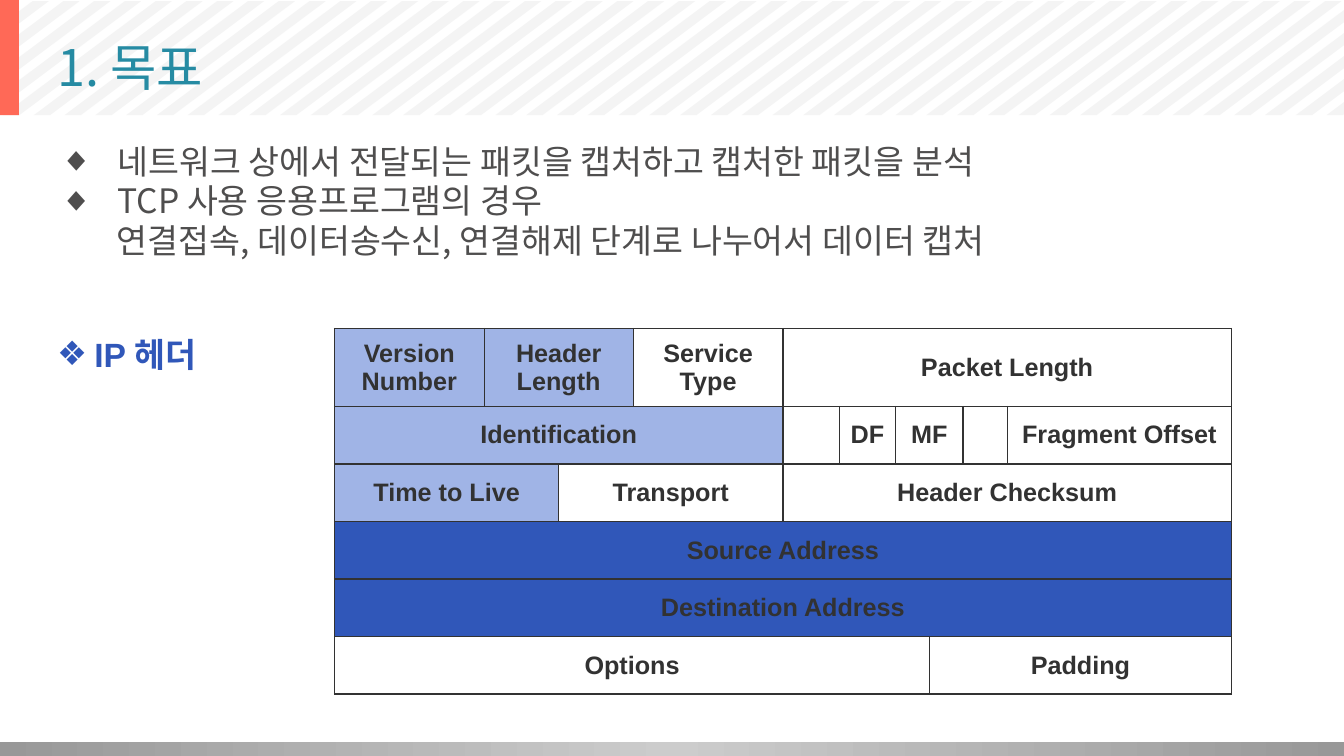
"""Build the slide on packet capture goals with the IP header layout."""
from dataclasses import dataclass

import lxml.etree
import pptx
import pptx.dml.color
import pptx.enum.dml
import pptx.enum.shapes
import pptx.enum.text
import pptx.oxml.ns
import pptx.util
from pptx.util import Cm

COLORS = {
    "stripe": "EBEBEB",
    "accent": "FF6957",
    "title": "268BA3",
    "body": "4F4E4E",
    "heading": "3057B9",
    "field": "A0B4E6",
    "address": "3057B9",
    "plain": "FFFFFF",
    "ink": "323232",
    "bar_edge": "989898",
    "bar_middle": "CCCCCC",
}
KOREAN_FONT = "Noto Sans CJK KR"
LATIN_FONT = "Arial"

SLIDE_WIDTH, SLIDE_HEIGHT = 33.87, 19.05
BAND_TOP, BAND_BOTTOM = 0.03, 2.9
STRIPE_START, STRIPE_WIDTH, STRIPE_RUN = 0.08, 0.41, 3.84
STRIPE_PITCH = 30.25 / 39
STRIPE_SLOPE = (BAND_BOTTOM - BAND_TOP) / STRIPE_RUN

COLUMN_WIDTHS = [3.77, 1.88, 1.88, 3.77, 1.42, 1.42, 0.86, 0.84, 1.12, 5.64]
ROW_HEIGHTS = [1.96] + [1.45] * 5


@dataclass
class Field:
    """A header field that covers one or more table columns."""
    text: str
    span: int = 1
    color: str = "plain"
    opacity: int = 100


@dataclass
class Line:
    """A line of text with an optional bullet and a hanging indent."""
    text: str
    bullet: str = ""
    indent: float = 0


GOALS = [
    Line("네트워크 상에서 전달되는 패킷을 캡처하고 캡처한 패킷을 분석", "◆", 1.47),
    Line("TCP 사용 응용프로그램의 경우", "◆", 1.47),
    Line("연결접속, 데이터송수신, 연결해제 단계로 나누어서 데이터 캡처", "", 1.45),
]

HEADER_ROWS = [
    [Field("Version Number", 1, "field"), Field("Header Length", 2, "field"),
     Field("Service Type"), Field("Packet Length", 6)],
    [Field("Identification", 4, "field"), Field(""), Field("DF"), Field("MF", 2),
     Field(""), Field("Fragment Offset")],
    [Field("Time to Live", 2, "field"), Field("Transport", 2), Field("Header Checksum", 6)],
    [Field("Source Address", 10, "address", 50)],
    [Field("Destination Address", 10, "address", 50)],
    [Field("Options", 7), Field("Padding", 3)],
]


def rgb(name: str) -> pptx.dml.color.RGBColor:
    """Return the named colour."""
    return pptx.dml.color.RGBColor.from_string(COLORS[name])


def add_element(parent, tag: str, **attributes: str):
    """Append a DrawingML element to its parent."""
    element = lxml.etree.SubElement(parent, pptx.oxml.ns.qn(tag))
    for name, value in attributes.items():
        element.set(name, value)
    return element


def fill_solid(fill, color: str, opacity: int = 100) -> None:
    """Fill with one colour, optionally see-through."""
    fill.solid()
    fill.fore_color.rgb = rgb(color)
    if opacity < 100:
        color_element = fill._xPr.find(".//" + pptx.oxml.ns.qn("a:srgbClr"))
        add_element(color_element, "a:alpha", val=str(opacity * 1000))


def set_font(paragraph, name: str, size: float, color: str, bold: bool = False) -> None:
    """Set the paragraph font, with the Korean face for Hangul."""
    font = paragraph.font
    font.name, font.size, font.bold = name, pptx.util.Pt(size), bold
    font.color.rgb = rgb(color)
    add_element(font._element if hasattr(font, "_element") else font._rPr,
                "a:ea", typeface=KOREAN_FONT)


def write_line(paragraph, line: Line) -> None:
    """Write a line with its indent and bullet."""
    paragraph.text = line.text
    properties = paragraph._p.get_or_add_pPr()
    properties.set("marL", str(Cm(line.indent)))
    properties.set("indent", str(-Cm(line.indent) if line.bullet else 0))
    if line.bullet:
        add_element(properties, "a:buFont", typeface=LATIN_FONT)
        add_element(properties, "a:buChar", char=line.bullet)
    else:
        add_element(properties, "a:buNone")


def place(shape, left: float, top: float, width: float, height: float) -> None:
    """Move and size a shape."""
    shape.left, shape.top, shape.width, shape.height = map(Cm, (left, top, width, height))


def add_stripes(slide) -> None:
    """Draw the slanted stripes, clipped to the slide's sides."""
    def lower(x: float) -> tuple[int, int]:
        return Cm(max(x, 0)), Cm(BAND_BOTTOM + min(x, 0) * STRIPE_SLOPE)

    def upper(x: float) -> tuple[int, int]:
        end = min(x + STRIPE_RUN, SLIDE_WIDTH)
        return Cm(end), Cm(BAND_BOTTOM - (end - x) * STRIPE_SLOPE)

    group = slide.shapes.add_group_shape()
    for number in range(-5, 44):
        left = STRIPE_START + number * STRIPE_PITCH
        right = left + STRIPE_WIDTH
        builder = group.shapes.build_freeform(*lower(left))
        builder.add_line_segments([lower(right), upper(right), upper(left)])
        stripe = builder.convert_to_shape()
        fill_solid(stripe.fill, "stripe", 52)
        stripe.line.fill.background()
        stripe.shadow.inherit = False


def add_rectangle(slide, left: float, top: float, width: float, height: float):
    """Add a rectangle without line or shadow."""
    rectangle = slide.shapes.add_shape(
        pptx.enum.shapes.MSO_SHAPE.RECTANGLE, *map(Cm, (left, top, width, height)))
    rectangle.line.fill.background()
    rectangle.shadow.inherit = False
    return rectangle


def add_footer_bar(slide) -> None:
    """Add the grey gradient bar along the bottom."""
    bar = add_rectangle(slide, 0, 18.69, SLIDE_WIDTH, 0.36)
    bar.fill.gradient()
    bar.fill.gradient_angle = 0
    stops = bar.fill._xPr.find(".//" + pptx.oxml.ns.qn("a:gsLst"))
    for stop in list(stops):
        stops.remove(stop)
    for position, color in ((0, "bar_edge"), (50, "bar_middle"), (100, "bar_edge")):
        stop = add_element(stops, "a:gs", pos=str(position * 1000))
        add_element(stop, "a:srgbClr", val=COLORS[color])


def add_borders(cell) -> None:
    """Draw a thin line on each side of a cell."""
    properties = cell._tc.get_or_add_tcPr()
    for side in ("L", "R", "T", "B"):
        border = add_element(properties, f"a:ln{side}", w=str(pptx.util.Pt(1)))
        add_element(add_element(border, "a:solidFill"), "a:srgbClr", val=COLORS["ink"])


def add_header_table(slide) -> None:
    """Add the table of IP header fields."""
    table = slide.shapes.add_table(
        len(ROW_HEIGHTS), len(COLUMN_WIDTHS), Cm(8.43), Cm(8.28),
        Cm(sum(COLUMN_WIDTHS)), Cm(sum(ROW_HEIGHTS))).table
    table.first_row = table.horz_banding = False
    for column, width in zip(table.columns, COLUMN_WIDTHS):
        column.width = Cm(width)
    for row, height in zip(table.rows, ROW_HEIGHTS):
        row.height = Cm(height)
    for row_index, fields in enumerate(HEADER_ROWS):
        start = 0
        for field in fields:
            end = start + field.span - 1
            cell = table.cell(row_index, start)
            if field.span > 1:
                cell.merge(table.cell(row_index, end))
            for column_index in range(start, end + 1):
                part = table.cell(row_index, column_index)
                add_borders(part)
                fill_solid(part.fill, field.color, field.opacity)
            cell.text = field.text
            cell.vertical_anchor = pptx.enum.text.MSO_ANCHOR.MIDDLE
            paragraph = cell.text_frame.paragraphs[0]
            paragraph.alignment = pptx.enum.text.PP_ALIGN.CENTER
            set_font(paragraph, LATIN_FONT, 18, "ink", True)
            start = end + 1


def add_texts(slide) -> None:
    """Fill the title and body and add the heading beside the table."""
    title, body = slide.shapes.title, slide.placeholders[1]
    place(title, 1.19, 0.36, 31.39, 2.62)
    place(body, 1.24, 3.53, 31.39, 4.19)
    for placeholder in (title, body):
        placeholder.element.getparent().append(placeholder.element)
        placeholder.text_frame.auto_size = pptx.enum.text.MSO_AUTO_SIZE.NONE
    title.text_frame.text = "1. 목표"
    title.text_frame.vertical_anchor = pptx.enum.text.MSO_ANCHOR.MIDDLE
    title.text_frame.paragraphs[0].alignment = pptx.enum.text.PP_ALIGN.LEFT
    set_font(title.text_frame.paragraphs[0], KOREAN_FONT, 36, "title")
    for index, line in enumerate(GOALS):
        frame = body.text_frame
        paragraph = frame.add_paragraph() if index else frame.paragraphs[0]
        paragraph.line_spacing = 0.9
        paragraph.space_before = pptx.util.Pt(2.4 if index else 0)
        write_line(paragraph, line)
        set_font(paragraph, KOREAN_FONT, 24, "body")
    heading = slide.shapes.add_textbox(Cm(1.19), Cm(8.28), Cm(5.11), Cm(1.27))
    heading.text_frame.word_wrap = True
    paragraph = heading.text_frame.paragraphs[0]
    write_line(paragraph, Line("IP 헤더", "❖", 0.94))
    set_font(paragraph, LATIN_FONT, 24, "heading", True)


def main() -> None:
    """Create and save the presentation."""
    presentation = pptx.Presentation()
    presentation.slide_width, presentation.slide_height = Cm(SLIDE_WIDTH), Cm(SLIDE_HEIGHT)
    slide = presentation.slides.add_slide(presentation.slide_layouts[1])
    add_stripes(slide)
    add_footer_bar(slide)
    fill_solid(add_rectangle(slide, 0, 0, 0.48, BAND_BOTTOM).fill, "accent")
    add_texts(slide)
    add_header_table(slide)
    presentation.save("out.pptx")


if __name__ == "__main__":
    main()
